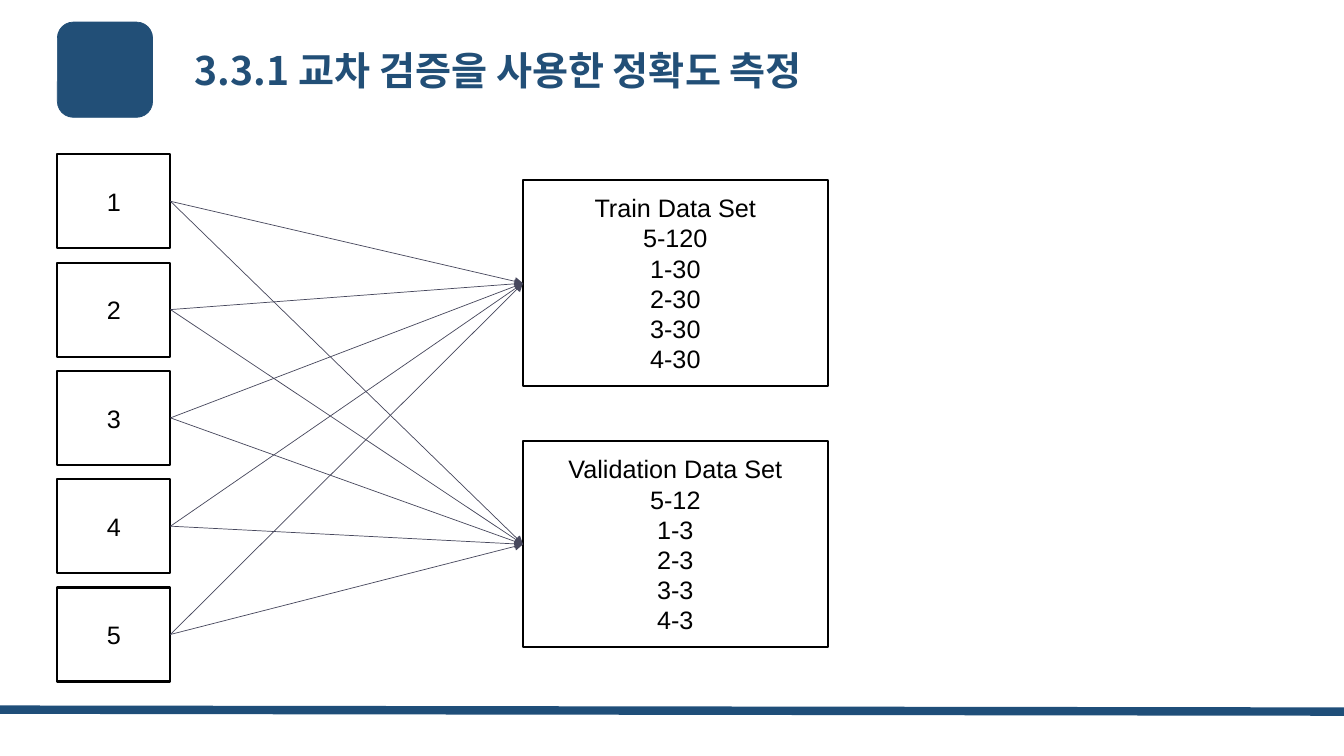
"""Build the cross-validation slide: five folds feeding two data sets."""
from dataclasses import dataclass
from itertools import product

from lxml.etree import SubElement as Sub
from pptx import Presentation
from pptx.dml.color import RGBColor as RGB
from pptx.enum.shapes import MSO_CONNECTOR as Link, MSO_SHAPE as Shape
from pptx.enum.text import MSO_ANCHOR as Anchor, MSO_AUTO_SIZE as Fit, PP_ALIGN as Align
from pptx.oxml.ns import qn
from pptx.util import Pt

TITLE = "3.3.1 교차 검증을 사용한 정확도 측정"
FOLDS = ["1", "2", "3", "4", "5"]
SETS = [
    ["Train Data Set", "5-120", "1-30", "2-30", "3-30", "4-30"],
    ["Validation Data Set", "5-12", "1-3", "2-3", "3-3", "4-3"],
]


@dataclass(frozen=True)
class Theme:
    navy: RGB = RGB.from_string("224F77")
    rule: RGB = RGB.from_string("1F4E79")
    wire: RGB = RGB.from_string("47485D")
    ink: RGB = RGB.from_string("000000")
    paper: RGB = RGB.from_string("FFFFFF")
    head: str = "Noto Sans CJK KR"
    body: str = "Arial"
    big: int = 28
    text: int = 18


LOOK = Theme()
LEFT = 41
FOLD_TOP, FOLD_W, FOLD_H, FOLD_STEP = 110.2, 80.8, 67.2, 77.35
SET_LEFT, SET_TOP, SET_W, SET_H, SET_STEP = 373.6, 128.8, 217.6, 147, 186.5


def style(run, size, name, color, bold=False):
    """Set the font of a run, for Latin and East Asian text alike."""
    font = run.font
    font.size, font.name, font.bold = Pt(size), name, bold
    font.color.rgb = color
    Sub(font._element, qn("a:ea")).set("typeface", name)


def add_box(slide, kind, area, fill, edge, width, lines=()):
    """Draw a filled shape with centred lines of text."""
    box = slide.shapes.add_shape(kind, *map(Pt, area))
    box.shadow.inherit = False
    box.fill.solid()
    box.fill.fore_color.rgb = fill
    box.line.color.rgb = edge
    box.line.width = Pt(width)
    if lines:
        frame = box.text_frame
        frame.text = "\n".join(lines)
        frame.vertical_anchor = Anchor.MIDDLE
        for para in frame.paragraphs:
            para.alignment = Align.CENTER
            style(para.runs[0], LOOK.text, LOOK.body, LOOK.ink)
    return box


def add_line(slide, ends, color, width, arrow=False):
    """Draw a straight line, with an arrowhead at its end if asked."""
    line = slide.shapes.add_connector(Link.STRAIGHT, *map(Pt, ends))
    line.line.color.rgb = color
    line.line.width = Pt(width)
    if arrow:
        Sub(line.line._get_or_add_ln(), qn("a:tailEnd")).set("type", "triangle")
    Sub(line._element.spPr, qn("a:effectLst"))
    return line


def add_title(slide):
    """Place the title in its placeholder."""
    title = slide.shapes.title
    title.left, title.top, title.width, title.height = map(Pt, (131.8, 0, 828, 104.4))
    frame = title.text_frame
    frame.text = TITLE
    frame.auto_size, frame.word_wrap = Fit.NONE, True
    frame.vertical_anchor = Anchor.MIDDLE
    para = frame.paragraphs[0]
    para.alignment, para.line_spacing = Align.LEFT, 0.9
    style(para.runs[0], LOOK.big, LOOK.head, LOOK.navy, True)


def main():
    """Lay out the slide and save it."""
    deck = Presentation()
    deck.slide_width, deck.slide_height = Pt(960), Pt(540)
    slide = deck.slides.add_slide(deck.slide_layouts[5])
    add_line(slide, (-0.7, 506.9, 960, 508.3), LOOK.rule, 6)
    add_title(slide)
    add_box(slide, Shape.ROUNDED_RECTANGLE, (LEFT, 15.8, 68, 68), LOOK.navy, LOOK.navy, 0.5)
    folds = [
        add_box(slide, Shape.RECTANGLE, (LEFT, FOLD_TOP + i * FOLD_STEP, FOLD_W, FOLD_H),
                LOOK.paper, LOOK.ink, 1.5, [name])
        for i, name in enumerate(FOLDS)
    ]
    sets = [
        add_box(slide, Shape.RECTANGLE, (SET_LEFT, SET_TOP + i * SET_STEP, SET_W, SET_H),
                LOOK.paper, LOOK.ink, 1.5, lines)
        for i, lines in enumerate(SETS)
    ]
    for goal, fold in product(sets, folds):
        wire = add_line(slide, (0, 0, 0, 0), LOOK.wire, 0.5, True)
        wire.begin_connect(fold, 3)
        wire.end_connect(goal, 1)
    deck.save("out.pptx")


if __name__ == "__main__":
    main()
